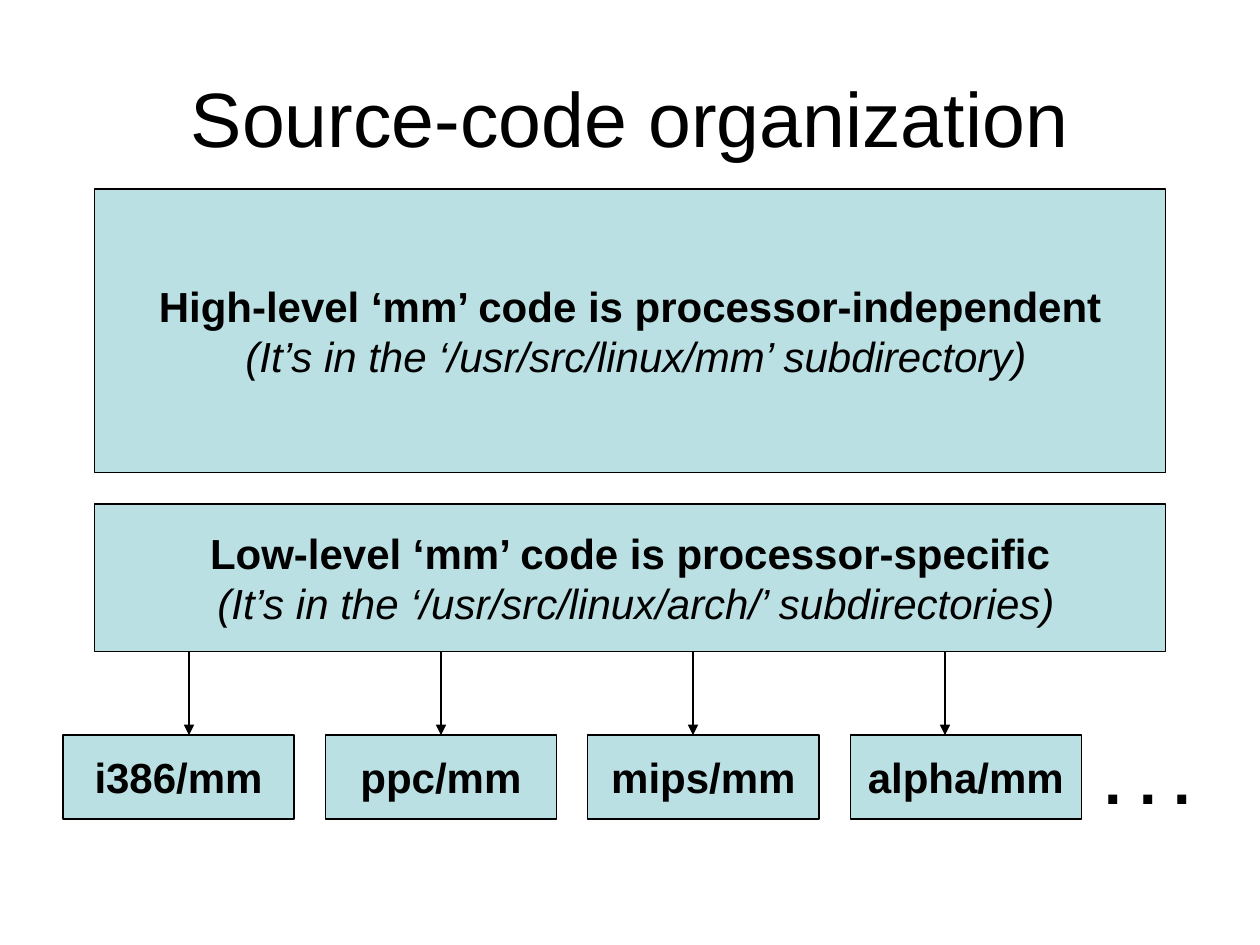
from dataclasses import dataclass
from typing import Any

import pptx
import pptx.dml.color
import pptx.enum.shapes
import pptx.enum.text
import pptx.oxml.ns
import pptx.util
from lxml import etree
from pptx.util import Cm

BLACK = "000000"
PALE_TEAL = "BBE0E3"
ANCHOR = pptx.enum.text.MSO_ANCHOR
ALIGN = pptx.enum.text.PP_ALIGN
HEADING = {"size": pptx.util.Pt(24), "bold": True, "italic": False}
REMARK = {"size": pptx.util.Pt(24), "bold": False, "italic": True}


@dataclass
class Block:
    left: float
    top: float
    width: float
    height: float
    heading: str
    remark: str = ""


def color(value: str) -> pptx.dml.color.RGBColor:
    return pptx.dml.color.RGBColor.from_string(value)


def write(para: Any, text: str, style: dict[str, Any], align: Any) -> None:
    para.alignment = align
    span = para.add_run()
    span.text = text
    for name, value in {"name": "Arial", **style}.items():
        setattr(span.font, name, value)
    span.font.color.rgb = color(BLACK)


def outline(line: Any) -> None:
    line.color.rgb = color(BLACK)
    line.width = pptx.util.Pt(0.75)


def draw_block(page: Any, block: Block) -> None:
    box = page.shapes.add_shape(
        pptx.enum.shapes.MSO_SHAPE.RECTANGLE,
        Cm(block.left), Cm(block.top), Cm(block.width), Cm(block.height))
    box.shadow.inherit = False
    box.fill.solid()
    box.fill.fore_color.rgb = color(PALE_TEAL)
    outline(box.line)
    frame = box.text_frame
    frame.word_wrap = False
    frame.vertical_anchor = ANCHOR.MIDDLE
    write(frame.paragraphs[0], block.heading, HEADING, ALIGN.CENTER)
    if block.remark:
        write(frame.add_paragraph(), block.remark, REMARK, ALIGN.CENTER)


def draw_arrow(page: Any, x: float, top: float, bottom: float) -> None:
    arrow = page.shapes.add_connector(
        pptx.enum.shapes.MSO_CONNECTOR.STRAIGHT,
        Cm(x), Cm(top), Cm(x), Cm(bottom))
    outline(arrow.line)
    qn = pptx.oxml.ns.qn
    etree.SubElement(arrow.line._get_or_add_ln(), qn("a:tailEnd"), type="triangle")
    etree.SubElement(arrow._element.spPr, qn("a:effectLst"))


def main() -> None:
    deck = pptx.Presentation()
    deck.slide_width, deck.slide_height = Cm(25.4), Cm(19.05)
    page = deck.slides.add_slide(deck.slide_layouts[5])

    # Title
    title = page.shapes.title
    place = {"left": Cm(1.27), "top": Cm(0.76), "width": Cm(22.86), "height": Cm(3.18)}
    for name, value in place.items():
        setattr(title, name, value)
    title.text_frame.vertical_anchor = ANCHOR.MIDDLE
    write(title.text_frame.paragraphs[0], "Source-code organization",
          {"size": pptx.util.Pt(44)}, ALIGN.CENTER)

    # Code layers
    high = Block(1.91, 3.81, 21.59, 5.72,
                 "High-level ‘mm’ code is processor-independent",
                 " (It’s in the ‘/usr/src/linux/mm’ subdirectory)")
    low = Block(1.91, 10.16, 21.59, 2.97,
                "Low-level ‘mm’ code is processor-specific",
                " (It’s in the ‘/usr/src/linux/arch/’ subdirectories)")
    for layer in (high, low):
        draw_block(page, layer)

    # Processor directories, each with its arrow from the low-level layer
    directory_top = 14.82
    for index, processor in enumerate(("i386", "ppc", "mips", "alpha")):
        draw_block(page, Block(1.27 + 5.29 * index, directory_top, 4.66, 1.69,
                               f"{processor}/mm"))
        draw_arrow(page, 3.81 + 5.08 * index, low.top + low.height, directory_top)

    # Further processors
    more = page.shapes.add_textbox(Cm(22.01), Cm(directory_top), Cm(2.32), Cm(1.78))
    more.text_frame.word_wrap = False
    more.text_frame.auto_size = pptx.enum.text.MSO_AUTO_SIZE.SHAPE_TO_FIT_TEXT
    write(more.text_frame.paragraphs[0], ". . .",
          {"size": pptx.util.Pt(36), "bold": True}, ALIGN.LEFT)

    deck.save("out.pptx")


if __name__ == "__main__":
    main()
